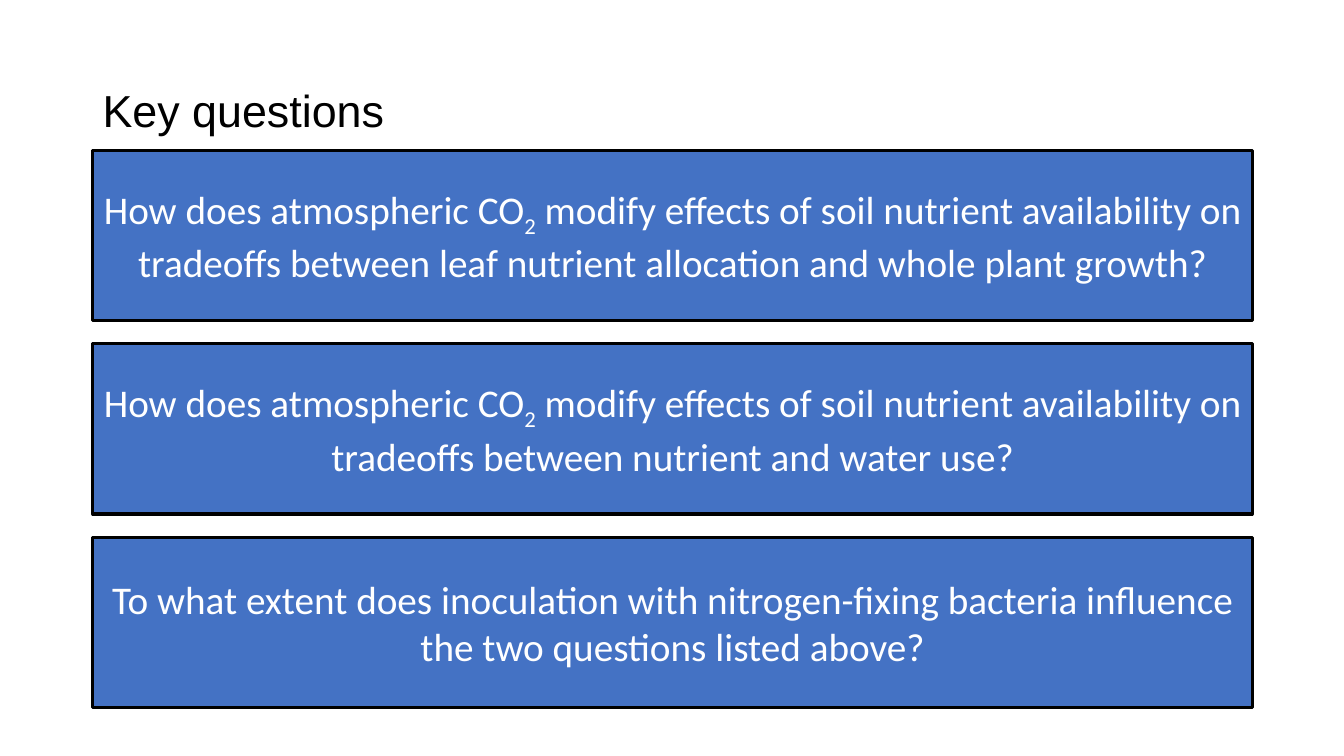
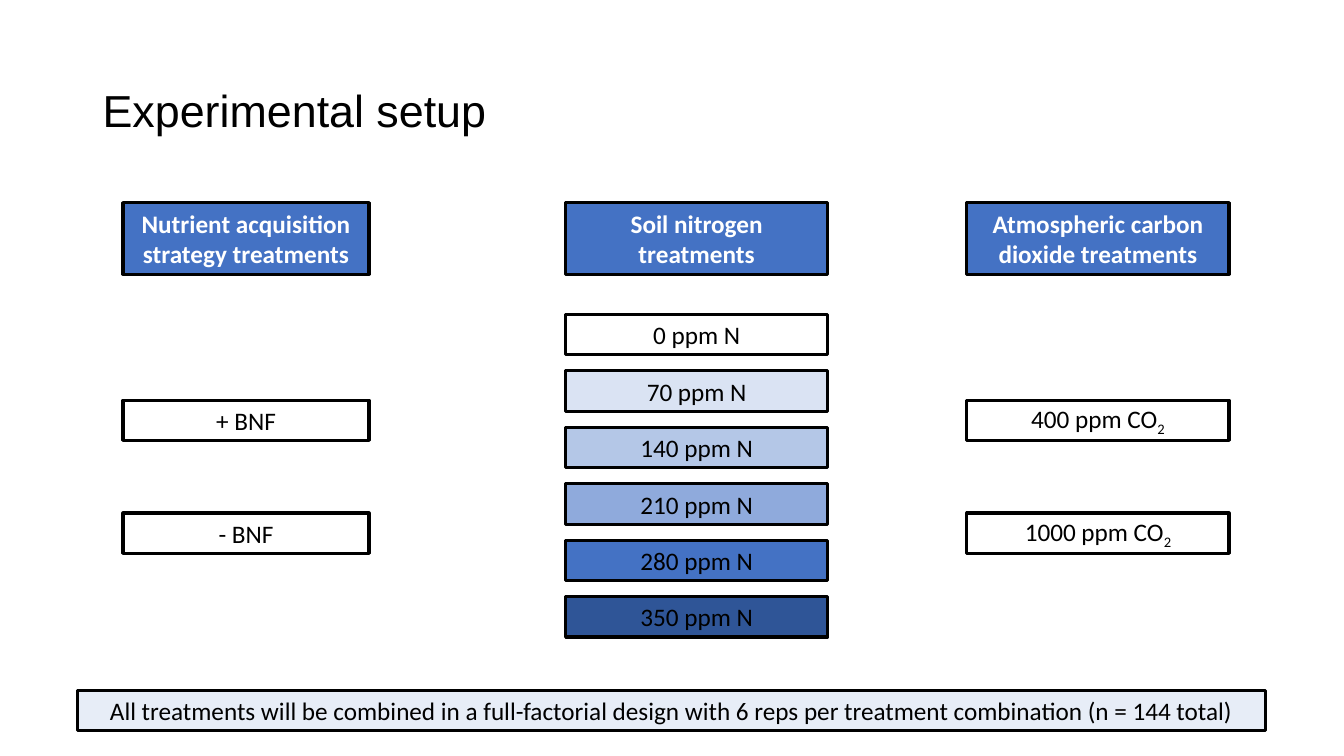
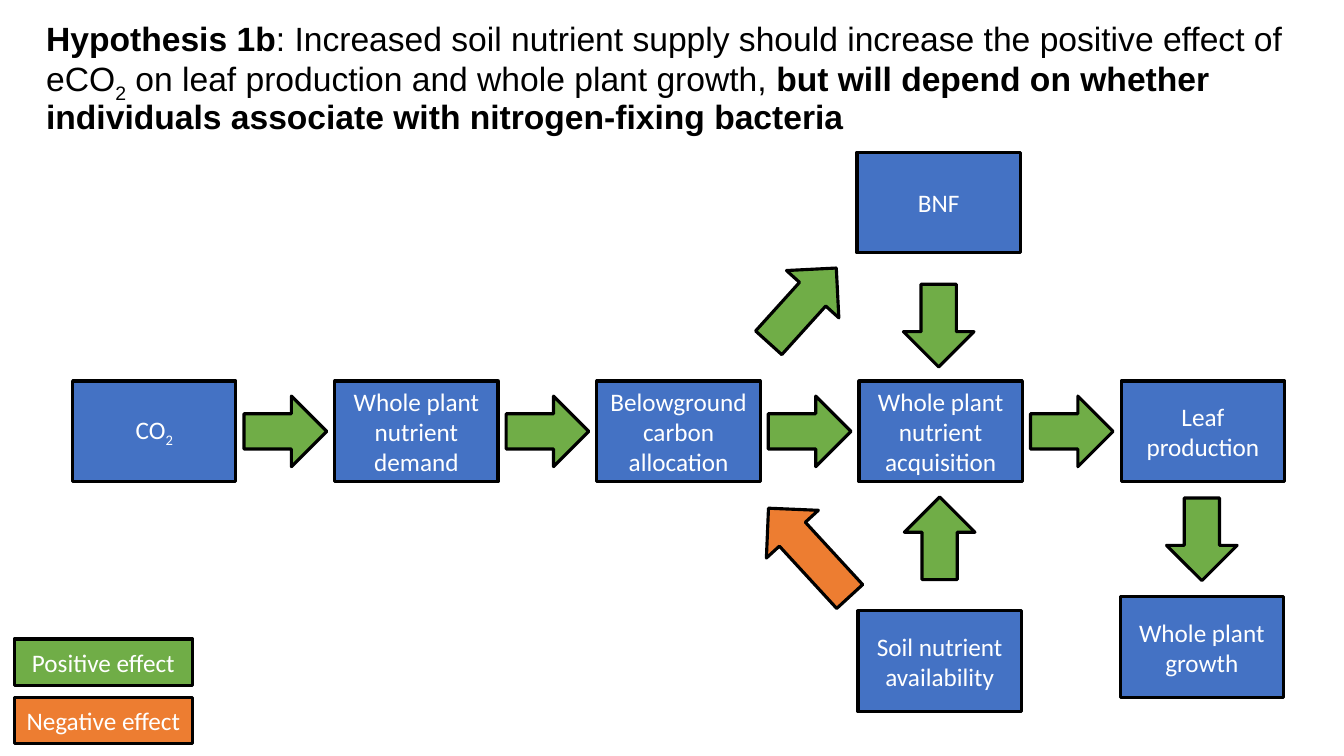
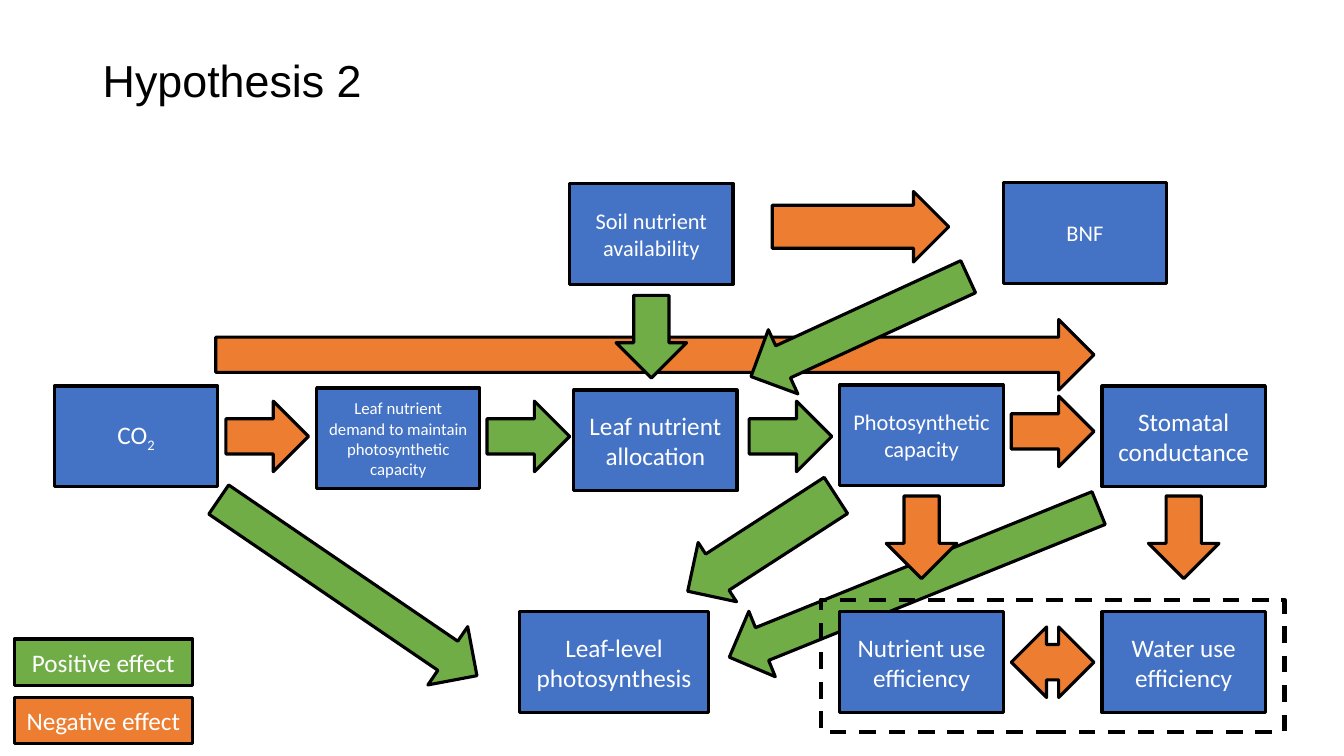
"""Build four slides on CO2, soil nitrogen and nitrogen fixation: questions, setup and hypotheses."""
from dataclasses import dataclass

from lxml.etree import SubElement
from pptx import Presentation
from pptx.dml.color import RGBColor
from pptx.enum.dml import MSO_LINE
from pptx.enum.shapes import MSO_SHAPE as SHAPE
from pptx.enum.text import MSO_ANCHOR as ANCHOR, PP_ALIGN as ALIGN
from pptx.oxml.ns import qn
from pptx.util import Inches, Pt


@dataclass(frozen=True)
class Theme:
    blue: str = "4472C4"
    green: str = "70AD47"
    orange: str = "ED7D31"
    white: str = "FFFFFF"
    black: str = "000000"
    pale: str = "DAE3F3"
    nitrogen: tuple = ("FFFFFF", "DAE3F3", "B4C7E7", "8FAADC", "4472C4", "2F5597")
    title_font: str = "Arial"
    body_font: str = "Calibri"
    title: int = 32
    statement: int = 24
    question: int = 28
    label: int = 18
    small: int = 16
    tiny: int = 12
    outline: float = 2.25


theme = Theme()
SUB = "2"
CO2 = ("CO", SUB)


def write(shape, parts, size, color, font=theme.body_font, align=ALIGN.CENTER, bold=()):
    """Fill a shape with one paragraph; SUB parts are subscript, listed parts are bold."""
    frame = shape.text_frame
    frame.word_wrap = True
    frame.vertical_anchor = ANCHOR.MIDDLE
    paragraph = frame.paragraphs[0]
    paragraph.alignment = align
    if font == theme.title_font:
        paragraph.line_spacing = 0.9
    for part in (parts,) if isinstance(parts, str) else parts:
        run = paragraph.add_run()
        run.text = part
        run.font.name = font
        run.font.size = Pt(size)
        run.font.bold = part in bold
        run.font.color.rgb = RGBColor.from_string(color)
        if part == SUB:
            run.font._element.set("baseline", "-25000")


def draw(slide, place, fill, preset=SHAPE.RECTANGLE, turn=0):
    """Add an outlined preset shape and return it."""
    shape = slide.shapes.add_shape(preset, *map(Inches, place))
    shape.shadow.inherit = False
    shape.rotation = turn
    if fill:
        shape.fill.solid()
        shape.fill.fore_color.rgb = RGBColor.from_string(fill)
    else:
        shape.fill.background()
    shape.line.color.rgb = RGBColor.from_string(theme.black)
    shape.line.width = Pt(theme.outline)
    return shape


deck = Presentation()
deck.slide_width, deck.slide_height = Inches(13.33), Inches(7.5)
questions, setup, growth, water = [deck.slides.add_slide(deck.slide_layouts[6]) for _ in range(4)]

bold_opening = "Hypothesis 1b"
bold_ending = "but will depend on whether individuals associate with nitrogen-fixing bacteria"
growth_statement = (
    bold_opening,
    ": Increased soil nutrient supply should increase the positive effect of eCO",
    SUB,
    " on leaf production and whole plant growth, ",
    bold_ending,
)
for slide, place, heading, size in (
    (questions, (0.92, 0.4, 11.5, 1.45), "Key questions", theme.title),
    (setup, (0.92, 0.4, 11.5, 1.45), "Experimental setup", theme.title),
    (growth, (0.36, 0.24, 12.77, 1.1), growth_statement, theme.statement),
    (water, (0.92, 0.1, 11.5, 1.45), "Hypothesis 2", theme.title),
):
    title = slide.shapes.add_textbox(*map(Inches, place))
    write(title, heading, size, theme.black, theme.title_font, ALIGN.LEFT, (bold_opening, bold_ending))

question_start = "How does atmospheric CO"
tradeoff = " modify effects of soil nutrient availability on tradeoffs between "
for row, question in enumerate((
    (question_start, SUB, tradeoff + "leaf nutrient allocation and whole plant growth?"),
    (question_start, SUB, tradeoff + "nutrient and water use?"),
    "To what extent does inoculation with nitrogen-fixing bacteria influence the two questions listed above?",
)):
    panel = draw(questions, (0.92, 1.49 + 1.92 * row, 11.5, 1.69), theme.blue)
    write(panel, question, theme.question, theme.white)

nitrogen_levels = [(f"{70 * step} ppm N", fill) for step, fill in enumerate(theme.nitrogen)]
for left, width, factor, first_top, pitch, levels in (
    (1.22, 2.44, "Nutrient acquisition strategy treatments", 3.97, 1.12,
     (("+ BNF", theme.white), ("- BNF", None))),
    (5.61, 2.6, "Soil nitrogen treatments", 3.12, 0.56, nitrogen_levels),
    (9.59, 2.6, "Atmospheric carbon dioxide treatments", 3.97, 1.12,
     ((("400 ppm CO", SUB), theme.white), (("1000 ppm CO", SUB), None))),
):
    header = draw(setup, (left, 2.01, width, 0.71), theme.blue)
    write(header, factor, theme.label, theme.white, bold=(factor,))
    for row, (level, fill) in enumerate(levels):
        treatment = draw(setup, (left, first_top + pitch * row, width, 0.4), fill)
        write(treatment, level, theme.label, theme.black)

design = draw(setup, (0.77, 6.85, 11.78, 0.4), theme.pale)
SubElement(next(design._element.spPr.iter(qn("a:srgbClr"))), qn("a:alpha"), val="64000")
write(
    design,
    "All treatments will be combined in a full-factorial design with 6 reps per treatment combination (n = 144 total)",
    theme.label,
    theme.black,
)

draw(water, (7.09, 5.43, 3.95, 0.7), theme.green, SHAPE.RIGHT_ARROW, 158)

growth_chain = (CO2, "Whole plant nutrient demand", "Belowground carbon allocation",
                "Whole plant nutrient acquisition", "Leaf production")
growth_factors = [(0.72 + 2.6 * step, 3.78, factor, theme.label) for step, factor in enumerate(growth_chain)]
growth_factors += [
    (11.11, 5.92, "Whole plant growth", theme.label),
    (8.51, 6.06, "Soil nutrient availability", theme.label),
    (8.5, 1.51, "BNF", theme.label),
]
water_factors = (
    (0.54, 3.83, CO2, theme.label),
    (3.14, 3.85, "Leaf nutrient demand to maintain photosynthetic capacity", theme.tiny),
    (5.69, 3.87, "Leaf nutrient allocation", theme.label),
    (8.33, 3.82, "Photosynthetic capacity", theme.small),
    (10.93, 3.83, "Stomatal conductance", theme.label),
    (8.33, 6.07, "Nutrient use efficiency", theme.label),
    (10.93, 6.07, "Water use efficiency", theme.label),
    (5.15, 6.07, "Leaf-level photosynthesis", theme.label),
    (5.65, 1.82, "Soil nutrient availability", theme.small),
    (9.95, 1.81, "BNF", theme.small),
)
for slide, factors in ((growth, growth_factors), (water, water_factors)):
    for left, top, factor, size in factors:
        width = 1.88 if factor == "Leaf-level photosynthesis" else 1.62
        write(draw(slide, (left, top, width, 1), theme.blue), factor, size, theme.white)
    for top, effect, fill in ((6.34, "Positive effect", theme.green), (6.92, "Negative effect", theme.orange)):
        write(draw(slide, (0.14, top, 1.77, 0.46), fill), effect, theme.label, theme.white)

outcomes = draw(water, (8.14, 5.95, 4.6, 1.31), None)
outcomes.line.width = Pt(3)
outcomes.line.dash_style = MSO_LINE.DASH

growth_effects = [(2.42 + 2.6 * step, 3.93, 0.82, 0, theme.green) for step in range(4)]
growth_effects += [
    (11.51, 5, 0.82, 90, theme.green),
    (8.91, 4.99, 0.82, 270, theme.green),
    (7.46, 2.68, 1, 312.1, theme.green),
    (8.9, 2.88, 0.82, 90, theme.green),
    (7.43, 5.13, 1.19, 227.4, theme.orange),
]
water_effects = (
    (2.24, 3.98, 0.82, 0, theme.orange),
    (4.83, 3.98, 0.82, 0, theme.green),
    (7.43, 3.98, 0.82, 0, theme.green),
    (11.33, 4.98, 0.82, 90, theme.orange),
    (6.68, 5.04, 1.75, 147.1, theme.green),
    (2.14, 3.17, 8.71, 0, theme.orange),
    (1.9, 5.48, 3.1, 34.3, theme.green),
    (6.05, 2.99, 0.82, 90, theme.green),
    (8.73, 4.98, 0.82, 90, theme.orange),
    (10.03, 3.93, 0.82, 0, theme.orange),
    (7.66, 1.9, 1.75, 0, theme.orange),
    (7.34, 2.89, 2.37, 155.3, theme.green),
)
for slide, effects in ((growth, growth_effects), (water, water_effects)):
    for left, top, length, turn, fill in effects:
        arrow = draw(slide, (left, top, length, 0.7), fill, SHAPE.RIGHT_ARROW, turn)
        if length == 1.75:
            arrow.adjustments[0] = 0.61
draw(water, (10.03, 6.22, 0.82, 0.7), theme.orange, SHAPE.LEFT_RIGHT_ARROW)

deck.save("out.pptx")
